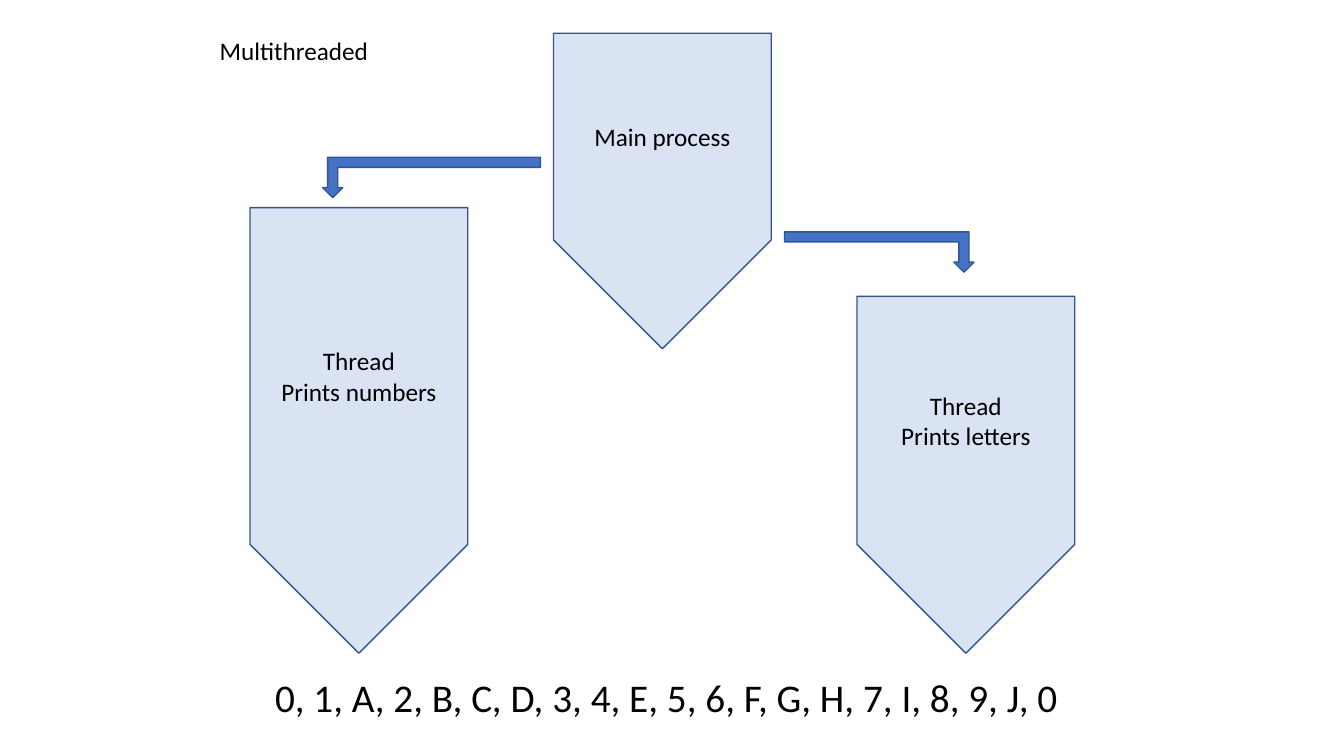
from pptx import Presentation
from pptx.dml.color import RGBColor
from pptx.enum.shapes import MSO_SHAPE
from pptx.enum.text import MSO_ANCHOR, MSO_AUTO_SIZE, PP_ALIGN
from pptx.util import Inches, Pt

BLOCK_ARROW = MSO_SHAPE.DOWN_ARROW
BENT_ARROW = MSO_SHAPE.BENT_UP_ARROW
MIDDLE = MSO_ANCHOR.MIDDLE
FIT_SHAPE = MSO_AUTO_SIZE.SHAPE_TO_FIT_TEXT
LEFT = PP_ALIGN.LEFT
CENTER = PP_ALIGN.CENTER

BLACK = RGBColor(0x00, 0x00, 0x00)
BLUE = RGBColor(0x44, 0x72, 0xC4)
DARK_BLUE = RGBColor(0x32, 0x54, 0x91)
PALE_BLUE = RGBColor(0xDA, 0xE3, 0xF3)


class ThreadDiagram:
    """Draws process blocks, branch arrows and labels on one page."""

    font = "Calibri"
    block_width = 2.16
    branch_height = 0.4

    def __init__(self, page):
        self.page = page

    def add_lines(self, frame, lines, size, alignment):
        for index, line in enumerate(lines):
            para = frame.add_paragraph() if index else frame.paragraphs[0]
            para.alignment = alignment
            span = para.add_run()
            span.text = line
            span.font.name = self.font
            span.font.size = Pt(size)
            span.font.color.rgb = BLACK

    def label(self, left, top, width, height, text, size):
        box = self.page.shapes.add_textbox(
            Inches(left), Inches(top), Inches(width), Inches(height))
        frame = box.text_frame
        frame.word_wrap = False
        frame.auto_size = FIT_SHAPE
        self.add_lines(frame, [text], size, LEFT)

    def shape(self, kind, left, top, width, height, fill):
        shape = self.page.shapes.add_shape(
            kind, Inches(left), Inches(top), Inches(width), Inches(height))
        shape.shadow.inherit = False
        shape.fill.solid()
        shape.fill.fore_color.rgb = fill
        shape.line.color.rgb = DARK_BLUE
        shape.line.width = Pt(1)
        return shape

    def block(self, left, top, bottom, lines):
        block = self.shape(
            BLOCK_ARROW, left, top, self.block_width, bottom - top, PALE_BLUE)
        block.adjustments[0] = 1
        block.adjustments[1] = 0.5
        block.text_frame.vertical_anchor = MIDDLE
        self.add_lines(block.text_frame, lines, 18, CENTER)

    def branch(self, left, top, width, to_right=False):
        arrow = self.shape(
            BENT_ARROW, left, top, width, self.branch_height, BLUE)
        arrow.rotation = 180
        if to_right:
            arrow._element.spPr.xfrm.set("flipH", "1")


def main():
    deck = Presentation()
    deck.slide_width = Inches(13.33)
    deck.slide_height = Inches(7.5)
    diagram = ThreadDiagram(deck.slides.add_slide(deck.slide_layouts[6]))

    diagram.label(2.08, 0.3, 1.69, 0.4, "Multithreaded", 18)
    diagram.branch(3.2, 1.56, 2.16)
    diagram.block(2.48, 2.06, 6.48, ["Thread", "Prints numbers"])
    diagram.branch(7.78, 2.3, 1.88, to_right=True)
    diagram.block(8.5, 2.94, 6.48, ["Thread", "Prints letters"])
    diagram.block(5.49, 0.33, 3.46, ["Main process"])
    diagram.label(
        2.63, 6.63, 8.07, 0.57,
        "0, 1, A, 2, B, C, D, 3, 4, E, 5, 6, F, G, H, 7, I, 8, 9, J, 0", 28)

    deck.save("out.pptx")


if __name__ == "__main__":
    main()
